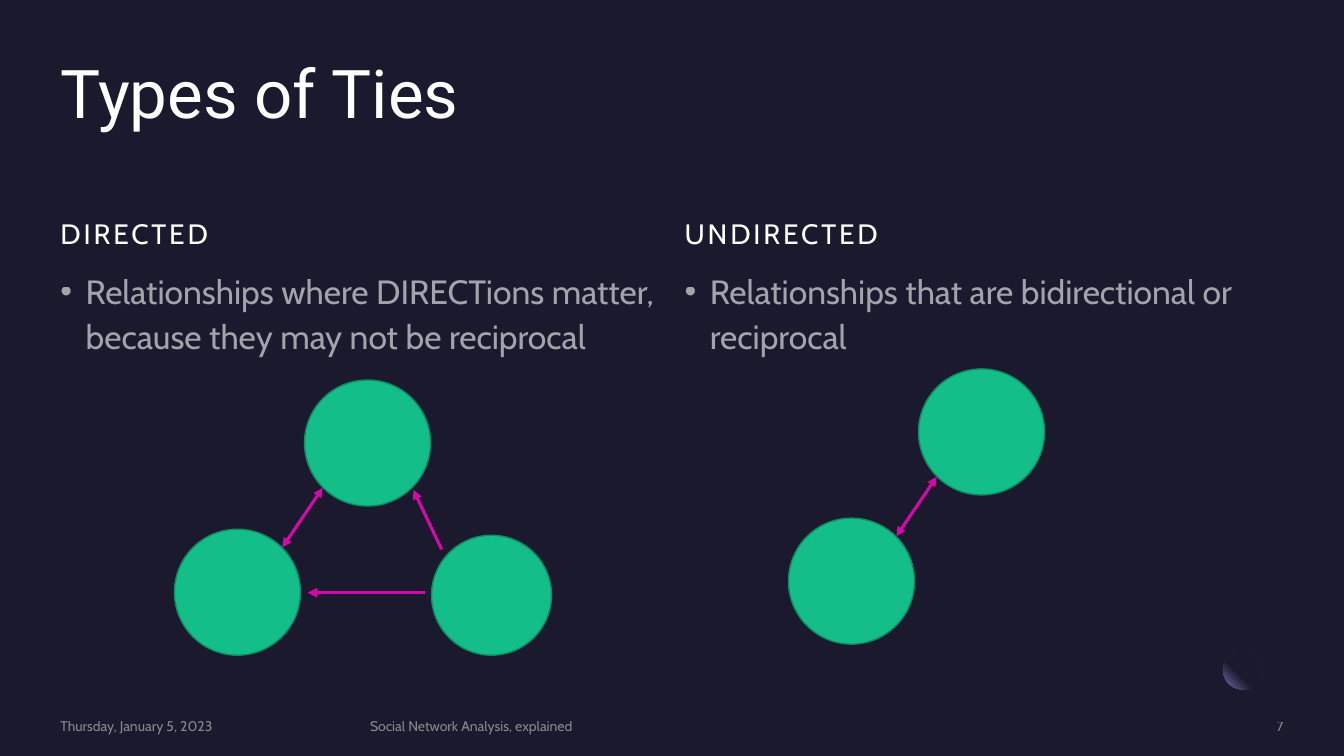
from lxml.etree import SubElement
from pptx import Presentation
from pptx.dml.color import RGBColor
from pptx.enum.shapes import MSO_CONNECTOR, MSO_SHAPE
from pptx.enum.text import MSO_ANCHOR, MSO_AUTO_SIZE, PP_ALIGN
from pptx.oxml import parse_xml
from pptx.oxml.ns import nsdecls, qn
from pptx.util import Inches, Pt

BACKGROUND, GLOW = "1B192E", "7771B2"
WHITE, GREY = "FFFFFF", "A6A6A6"
GREEN, DARK_GREEN, PINK = "13BE89", "0E8D65", "D40AA8"


def set_color(color, value, alpha=100):
    """Set a fill, line or font colour from a hex string; alpha is in percent."""
    color.rgb = RGBColor.from_string(value)
    if alpha < 100:
        for clr in color._xFill.iter(qn("a:srgbClr")):
            SubElement(clr, qn("a:alpha"), val=str(alpha * 1000))


class TiesSlide:
    heading_font = "Roboto"
    body_font = "Cabin"

    def __init__(self, prs):
        self.s = prs.slides.add_slide(prs.slide_layouts.get_by_name("Comparison"))
        fill = self.s.background.fill
        fill.solid()
        set_color(fill.fore_color, BACKGROUND)

    def set_text(self, sp, text, size, color=WHITE, alpha=100, font=None,
                 anchor=MSO_ANCHOR.TOP, align=PP_ALIGN.LEFT):
        """Fill a text shape with one formatted paragraph and return it."""
        tf = sp.text_frame
        tf.text = text
        tf.word_wrap = True
        tf.auto_size = MSO_AUTO_SIZE.NONE
        tf.vertical_anchor = anchor
        tf.margin_left = tf.margin_top = tf.margin_right = tf.margin_bottom = 0
        p = tf.paragraphs[0]
        p.alignment = align
        p.space_before = Pt(0)
        r = p.runs[0]
        r.font.name = font or self.body_font
        r.font.size = Pt(size)
        r.font.bold = False
        r.font.fill.solid()
        set_color(r.font.fill.fore_color, color, alpha)
        return p

    def placeholder(self, idx, left, top, width, height):
        sp = self.s.placeholders[idx]
        sp.left, sp.top = Inches(left), Inches(top)
        sp.width, sp.height = Inches(width), Inches(height)
        return sp

    def title(self, text):
        sp = self.placeholder(0, 0.6, 0.6, 12.14, 1.46)
        p = self.set_text(sp, text, 48, font=self.heading_font)
        p.line_spacing = 0.9

    def column(self, idx, left, heading, bullet):
        """Place a heading and the bullet list below it."""
        sp = self.placeholder(idx, left, 1.89, 5.95, 0.59)
        p = self.set_text(sp, heading, 20, anchor=MSO_ANCHOR.BOTTOM)
        p.line_spacing = 1.1
        p.space_after = Pt(8)
        p.runs[0].font._element.set("spc", "200")

        sp = self.placeholder(idx + 1, left, 2.65, 5.95, 3.84)
        p = self.set_text(sp, bullet, 24, alpha=60)
        pPr = p._p.get_or_add_pPr()
        pPr.set("marL", str(Inches(0.25)))
        pPr.set("indent", str(Inches(-0.25)))
        SubElement(pPr, qn("a:buFont"), typeface="Arial")
        SubElement(pPr, qn("a:buChar"), char="•")
        p.line_spacing = 1.1
        p.space_after = Pt(8)

    def footer(self, left, width, text, align=PP_ALIGN.LEFT):
        sp = self.s.shapes.add_textbox(Inches(left), Inches(7.12), Inches(width), Inches(0.17))
        self.set_text(sp, text, 10, GREY, 80, anchor=MSO_ANCHOR.MIDDLE, align=align)

    def circle(self, left, top, size):
        sp = self.s.shapes.add_shape(MSO_SHAPE.OVAL, Inches(left), Inches(top),
                                     Inches(size), Inches(size))
        sp.shadow.inherit = False
        return sp

    def node(self, left, top, size=1.25):
        sp = self.circle(left, top, size)
        sp.fill.solid()
        set_color(sp.fill.fore_color, GREEN)
        set_color(sp.line.color, DARK_GREEN)
        sp.line.width = Pt(1)

    def tie(self, start, end, mutual=False):
        """Draw an arrow from start to end, with two heads if mutual."""
        cx = self.s.shapes.add_connector(MSO_CONNECTOR.STRAIGHT,
                                         *map(Inches, start), *map(Inches, end))
        set_color(cx.line.color, PINK)
        cx.line.width = Pt(2.25)
        spPr = cx._element.spPr
        ln = spPr.find(qn("a:ln"))
        if mutual:
            SubElement(ln, qn("a:headEnd"), type="triangle")
        SubElement(ln, qn("a:tailEnd"), type="triangle")
        SubElement(spPr, qn("a:effectLst"))

    def moon(self, left, top, size):
        """Draw a circle that glows at its lower left edge."""
        sp = self.circle(left, top, size)
        sp.line.fill.background()
        sp.fill.background()
        spPr = sp._element.spPr
        spPr.replace(spPr.find(qn("a:noFill")), parse_xml(
            f'<a:gradFill {nsdecls("a")}><a:gsLst>'
            f'<a:gs pos="60000"><a:srgbClr val="{BACKGROUND}"/></a:gs>'
            f'<a:gs pos="100000"><a:srgbClr val="{GLOW}"/></a:gs></a:gsLst>'
            '<a:path path="circle"><a:fillToRect l="100000" b="100000"/></a:path>'
            '</a:gradFill>'))


def main():
    prs = Presentation()
    prs.slide_width, prs.slide_height = Inches(13.33), Inches(7.5)
    slide = TiesSlide(prs)

    slide.moon(12.13, 6.45, 0.39)
    slide.title("Types of Ties")
    slide.column(1, 0.6, "DIRECTED",
                 "Relationships where DIRECTions matter, because they may not be reciprocal")
    slide.column(3, 6.79, "UNDIRECTED",
                 "Relationships that are bidirectional or reciprocal")

    slide.footer(0.6, 2.88, "Thursday, January 5, 2023")
    slide.footer(3.67, 6.98, "Social Network Analysis, explained")
    slide.footer(10.88, 1.85, "7", PP_ALIGN.RIGHT)

    # Each pair is an upper node, a lower left node and a mutual tie
    for left, top in ((1.73, 3.77), (7.82, 3.66)):
        slide.node(left + 1.29, top)
        slide.node(left, top + 1.48)
        slide.tie((left + 1.47, top + 1.07), (left + 1.07, top + 1.66), mutual=True)

    # The third directed node sends one-way ties to the other two
    slide.node(4.28, 5.31, 1.19)
    slide.tie((4.38, 5.45), (4.1, 4.86))
    slide.tie((4.22, 5.88), (3.05, 5.88))

    prs.save("out.pptx")


if __name__ == "__main__":
    main()
